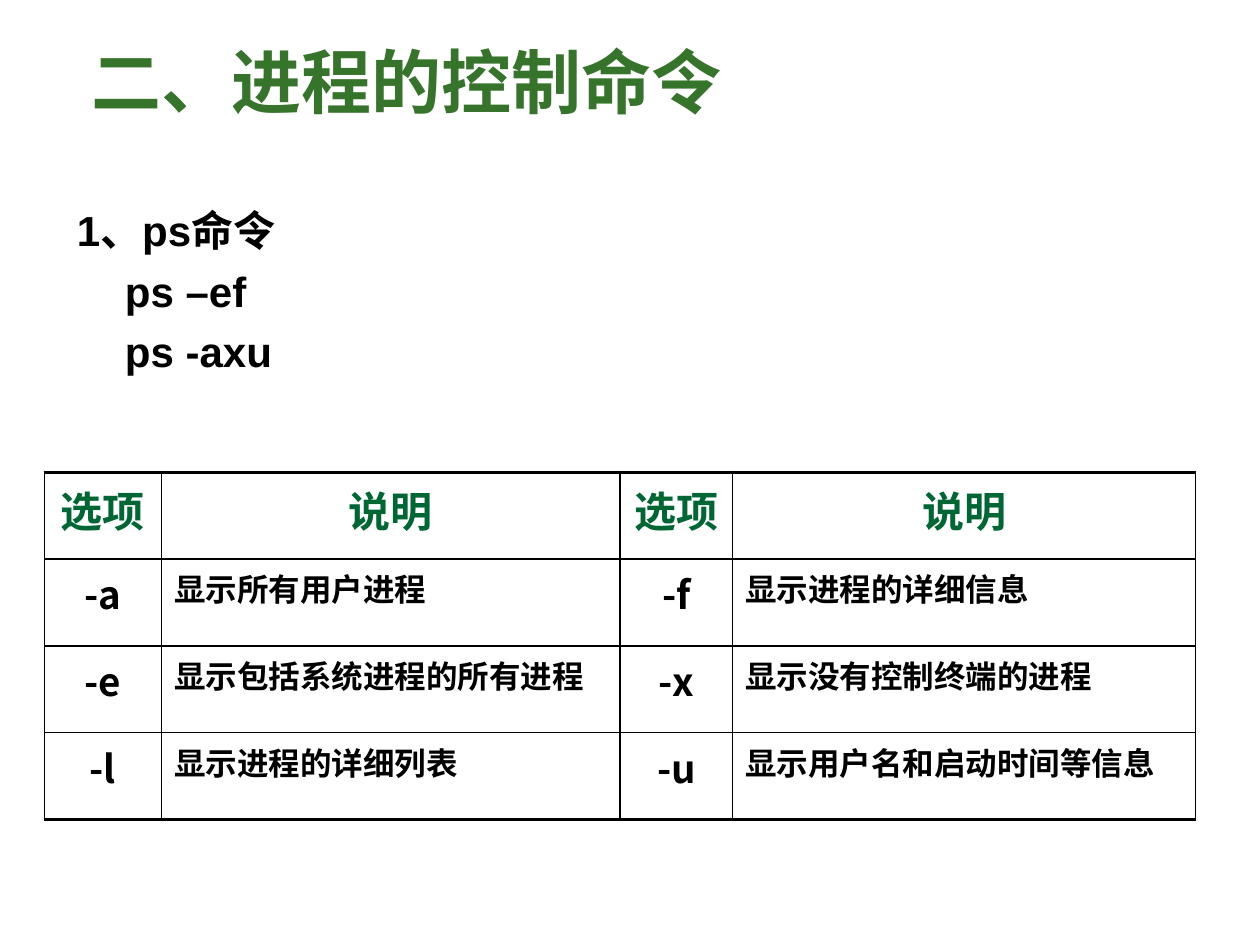
from dataclasses import dataclass

from lxml import etree
from pptx import Presentation
from pptx.dml.color import RGBColor
from pptx.enum.text import MSO_ANCHOR, MSO_AUTO_SIZE, PP_ALIGN
from pptx.oxml.ns import qn
from pptx.util import Cm, Pt

LEFT, CENTER = PP_ALIGN.LEFT, PP_ALIGN.CENTER
TOP = MSO_ANCHOR.TOP
NO_FIT = MSO_AUTO_SIZE.NONE
BLACK, TITLE_GREEN, HEADER_GREEN = "000000", "35742A", "006633"
CJK = "Noto Sans CJK SC"
TITLE_ONLY = 5

COLUMN_WIDTHS = (2.37, 9.24, 2.27, 9.33)
ROW_HEIGHT = 1.75
OUTER_SIDE, OUTER_EDGE, INNER = 0.75, 2, 1


@dataclass
class Option:
    flag: str
    meaning: str


OPTION_ROWS = [
    (Option("-a", "显示所有用户进程"), Option("-f", "显示进程的详细信息")),
    (Option("-e", "显示包括系统进程的所有进程"), Option("-x", "显示没有控制终端的进程")),
    (Option("-l", "显示进程的详细列表"), Option("-u", "显示用户名和启动时间等信息")),
]


def color(hex_value: str) -> RGBColor:
    return RGBColor.from_string(hex_value)


def write(p, text: str, *, size: float, font: str, fill: str = BLACK,
          align=LEFT, before: float = 0, spacing: float = 1.0,
          indent: float = 0) -> None:
    p.alignment = align
    p.space_before = Pt(before)
    p.line_spacing = spacing
    if indent:
        p._p.get_or_add_pPr().set("marL", str(Cm(indent)))
    r = p.add_run()
    r.text = text
    r.font.size, r.font.bold, r.font.name = Pt(size), True, font
    r.font.color.rgb = color(fill)
    ea = etree.SubElement(r._r.get_or_add_rPr(), qn("a:ea"))
    ea.set("typeface", CJK)


def set_border(cell, side: str, width: float) -> None:
    ln = etree.SubElement(cell._tc.get_or_add_tcPr(), qn(f"a:ln{side}"),
                          w=str(Pt(width)))
    solid = etree.SubElement(ln, qn("a:solidFill"))
    etree.SubElement(solid, qn("a:srgbClr"), val=BLACK)


def add_title(s, text: str) -> None:
    sp = s.shapes.title
    sp.left, sp.top, sp.width, sp.height = Cm(1.6), Cm(0.84), Cm(22.23), Cm(2.92)
    tf = sp.text_frame
    tf.auto_size, tf.vertical_anchor = NO_FIT, TOP
    write(tf.paragraphs[0], text, size=40, font="Times New Roman",
          fill=TITLE_GREEN, spacing=0.9)


def add_commands(s, heading: str, commands: list[str]) -> None:
    tf = s.shapes.add_textbox(Cm(1.3), Cm(4.11), Cm(11.63), Cm(3.78)).text_frame
    tf.word_wrap = True
    write(tf.paragraphs[0], heading, size=24, font="Arial", spacing=0.9)
    for command in commands:
        write(tf.add_paragraph(), command, size=24, font="Arial",
              before=5.5, indent=0.97)


def add_option_table(s) -> None:
    rows, cols = len(OPTION_ROWS) + 1, len(COLUMN_WIDTHS)
    frame = s.shapes.add_table(rows, cols, Cm(0.89), Cm(9.52),
                               Cm(sum(COLUMN_WIDTHS)), Cm(rows * ROW_HEIGHT))
    table = frame.table
    table.first_row = table.horz_banding = False
    for column, width in zip(table.columns, COLUMN_WIDTHS):
        column.width = Cm(width)
    for row in table.rows:
        row.height = Cm(ROW_HEIGHT)

    texts = [["选项", "说明"] * 2]
    texts += [[t for o in pair for t in (o.flag, o.meaning)] for pair in OPTION_ROWS]
    for i, line in enumerate(texts):
        for j, text in enumerate(line):
            cell = table.cell(i, j)
            set_border(cell, "L", OUTER_SIDE if j == 0 else INNER)
            set_border(cell, "R", OUTER_SIDE if j == cols - 1 else INNER)
            set_border(cell, "T", OUTER_EDGE if i == 0 else INNER)
            set_border(cell, "B", OUTER_EDGE if i == rows - 1 else INNER)
            cell.fill.background()
            p = cell.text_frame.paragraphs[0]
            if i == 0:
                write(p, text, size=24, font=CJK, fill=HEADER_GREEN, align=CENTER)
            elif j % 2 == 0:
                write(p, text, size=22, font=CJK, align=CENTER)
            else:
                write(p, text, size=18, font=CJK)


def main() -> None:
    prs = Presentation()
    prs.slide_width, prs.slide_height = Cm(25.4), Cm(19.05)
    s = prs.slides.add_slide(prs.slide_layouts[TITLE_ONLY])
    add_title(s, "二、进程的控制命令")
    add_commands(s, "1、ps命令", ["ps –ef", "ps -axu"])
    add_option_table(s)
    prs.save("out.pptx")


if __name__ == "__main__":
    main()
